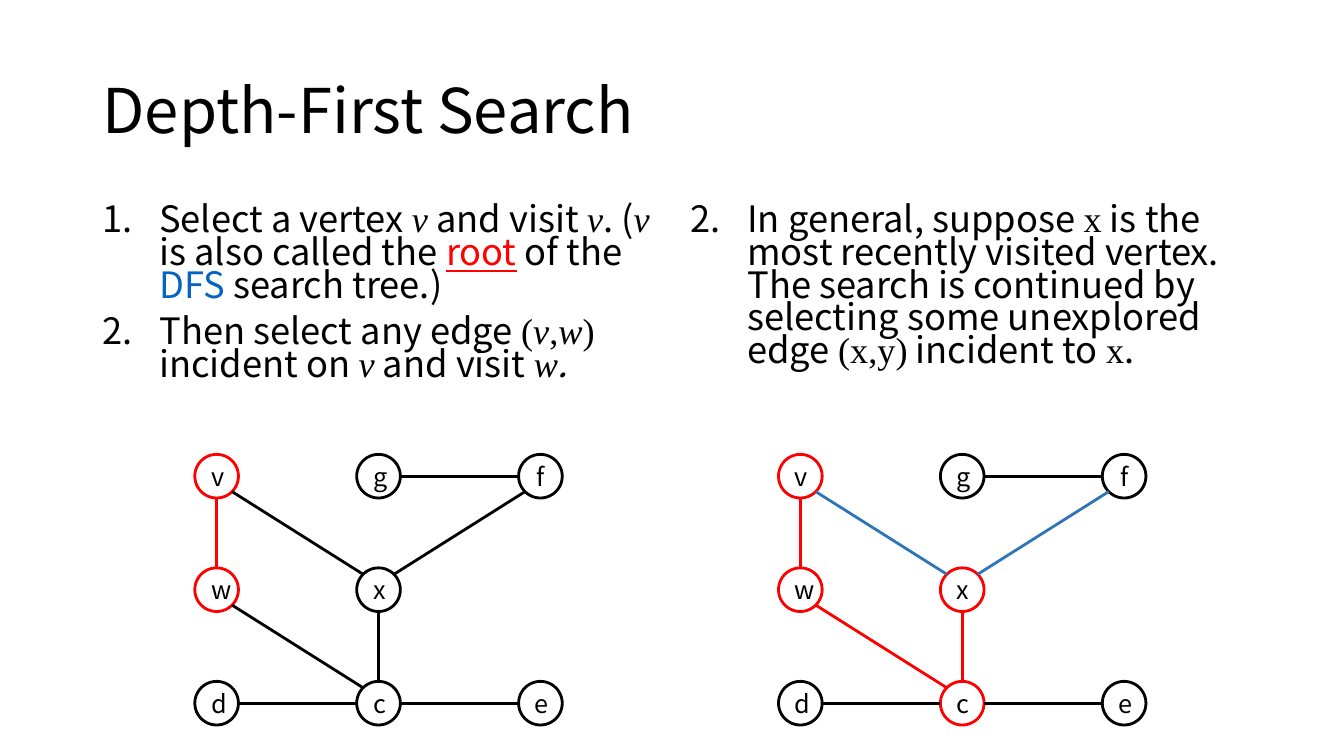
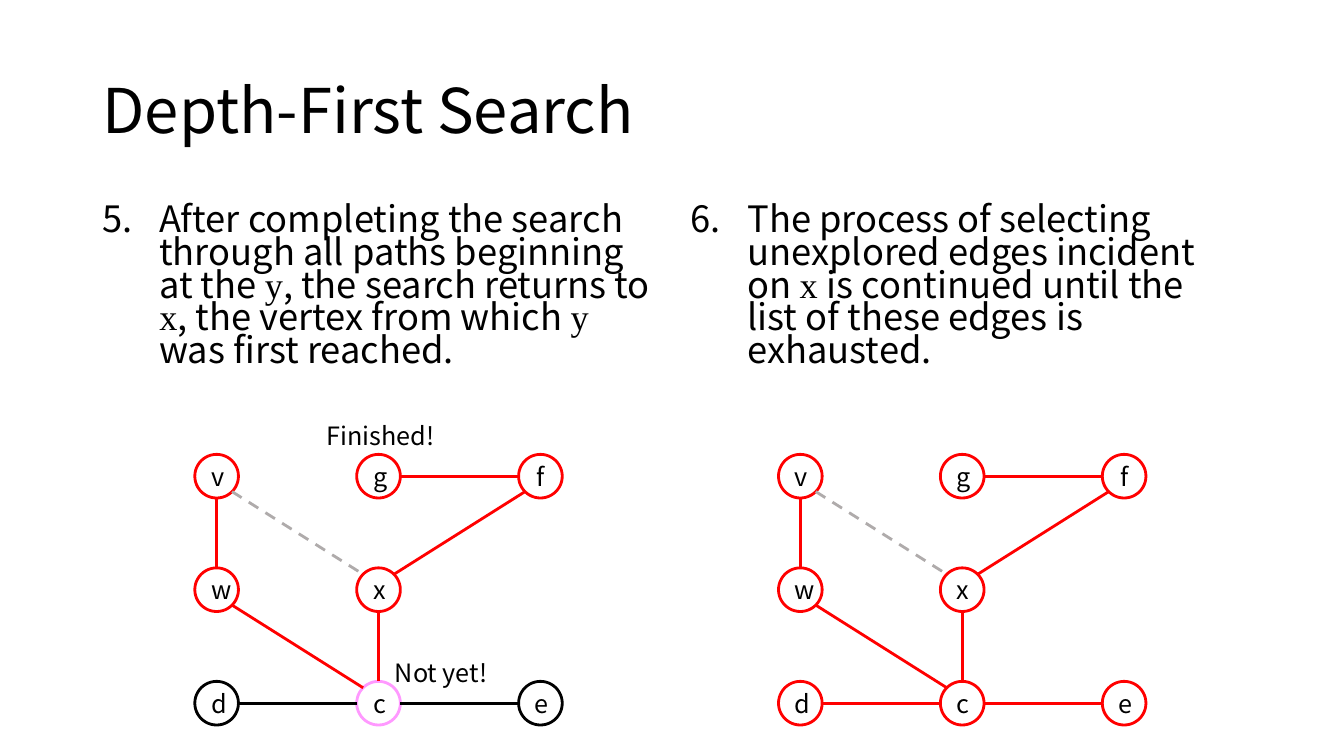
from lxml import etree
from pptx import Presentation
from pptx.dml.color import RGBColor
from pptx.enum import dml, shapes, text
from pptx.oxml import ns
from pptx.util import Cm, Pt

BLACK = RGBColor(0x00, 0x00, 0x00)
WHITE = RGBColor(0xFF, 0xFF, 0xFF)
RED = RGBColor(0xFF, 0x00, 0x00)
BLUE = RGBColor(0x2E, 0x75, 0xB6)
LINK = RGBColor(0x05, 0x63, 0xC1)
GREY = RGBColor(0xAF, 0xAB, 0xAB)
PINK = RGBColor(0xFF, 0x99, 0xFF)
SANS, SERIF = "Noto Sans CJK JP", "Times New Roman"

# Run styles
PLAIN = {"name": SANS, "size": Pt(25.9), "color": BLACK}
STYLES = {
    "plain": PLAIN,
    "math": {**PLAIN, "name": SERIF},
    "var": {**PLAIN, "name": SERIF, "italic": True},
    "slant": {**PLAIN, "italic": True},
    "key": {**PLAIN, "color": RED, "underline": True},
    "term": {**PLAIN, "color": LINK},
}
TITLE = {**PLAIN, "size": Pt(44)}
SMALL = {**PLAIN, "size": Pt(18)}

# Content: each column has a first number, paragraphs, coloured graph parts
# and labels; a plain string is a plain run, a pair is (text, style)
HEADING = "Depth-First Search"
SLIDES = [
    [
        {"start": 1, "items": [
            ["Select a vertex ", ("v", "var"), " and visit ", ("v", "var"),
             ". (", ("v", "var"), " is also called the ", ("root", "key"),
             " of the ", ("DFS", "term"), " search tree.)"],
            ["Then select any edge ", ("(", "math"), ("v", "var"),
             (",", "math"), ("w", "var"), (")", "math"), " incident on ",
             ("v", "var"), " and visit ", ("w", "var"), (".", "slant")],
        ], "graph": {RED: "v w vw"}},
        {"start": 2, "items": [
            ["In general, suppose ", ("x", "math"),
             " is the most recently visited vertex. The search is continued"
             " by selecting some unexplored edge ", ("(x,y)", "math"),
             " incident to ", ("x", "math"), "."],
        ], "graph": {RED: "v w x c vw wc xc", BLUE: "vx xf"}},
    ],
    [
        {"start": 5, "items": [
            ["After completing the search through all paths beginning at the ",
             ("y", "math"), ", the search returns to ", ("x", "math"),
             ", the vertex from which ", ("y", "math"),
             " was first reached."],
        ], "graph": {RED: "v g f w x gf xf xc wc vw", GREY: "vx", PINK: "c"},
            "labels": [("Finished!", 7.98, 10.46, 3.25),
                       ("Not yet!", 9.7, 16.43, 2.87)]},
        {"start": 6, "items": [
            ["The process of selecting unexplored edges incident on ",
             ("x ", "math"),
             "is continued until the list of these edges is exhausted."],
        ], "graph": {RED: "v g f w x d c e gf xf xc wc vw cd ec",
                     GREY: "vx"}},
    ],
]

# Graph: node -> (column, row), and edges as node pairs
NODES = {"v": (0, 0), "g": (1, 0), "f": (2, 0), "w": (0, 1), "x": (1, 1),
         "d": (0, 2), "c": (1, 2), "e": (2, 2)}
EDGES = "vx gf xf xc wc vw cd ec".split()

# Layout in centimetres
PLACES = [(2.33, 1.01, 29.21, 3.68), (2.33, 5.08, 14.4, 5.76),
          (17.15, 5.08, 14.4, 5.76)]
GRAPH_X, GRAPH_Y, GRAPH_SHIFT = 5.46, 12, 14.71
STEP_X, STEP_Y, RADIUS = 4.08, 2.86, 0.55
INDENT = Cm(1.43)


def add_run(p, words, style):
    r = p.add_run()
    r.text = words
    for name, value in style.items():
        if name == "color":
            r.font.color.rgb = value
        else:
            setattr(r.font, name, value)


def number(p, start):
    pPr = p._p.get_or_add_pPr()
    pPr.set("marL", str(INDENT))
    pPr.set("indent", str(-INDENT))
    etree.SubElement(pPr, ns.qn("a:buFont"), typeface=SANS)
    etree.SubElement(pPr, ns.qn("a:buAutoNum"), type="arabicPeriod",
                     startAt=str(start))


def fill_title(sp):
    sp.text_frame.vertical_anchor = text.MSO_ANCHOR.MIDDLE
    p = sp.text_frame.paragraphs[0]
    p.alignment, p.line_spacing = text.PP_ALIGN.LEFT, 0.9
    add_run(p, HEADING, TITLE)


def fill_list(sp, column):
    tf = sp.text_frame
    tf.auto_size = text.MSO_AUTO_SIZE.NONE
    for i, item in enumerate(column["items"]):
        p = tf.add_paragraph() if i else tf.paragraphs[0]
        number(p, column["start"])
        p.line_spacing, p.space_before = 0.75, Pt(10 if i else 0)
        for run in item:
            words, style = (run, "plain") if isinstance(run, str) else run
            add_run(p, words, STYLES[style])


def add_graph(s, column, left):
    group = s.shapes.add_group_shape().shapes
    pens = {part: color for color, parts in column["graph"].items()
            for part in parts.split()}
    centres = {n: (left + c * STEP_X, GRAPH_Y + r * STEP_Y)
               for n, (c, r) in NODES.items()}

    # Nodes
    for name, (x, y) in centres.items():
        sp = group.add_shape(shapes.MSO_SHAPE.OVAL, Cm(x - RADIUS),
                             Cm(y - RADIUS), Cm(2 * RADIUS), Cm(2 * RADIUS))
        sp.shadow.inherit = False
        sp.fill.solid()
        sp.fill.fore_color.rgb = WHITE
        sp.line.color.rgb, sp.line.width = pens.get(name, BLACK), Pt(2)
        sp.text_frame.vertical_anchor = text.MSO_ANCHOR.MIDDLE
        p = sp.text_frame.paragraphs[0]
        p.alignment = text.PP_ALIGN.CENTER
        add_run(p, name, SMALL)

    # Edges run between points on the circles, in steps of 45 degrees
    for edge in EDGES:
        (c1, r1), (c2, r2) = NODES[edge[0]], NODES[edge[1]]
        (x1, y1), (x2, y2) = centres[edge[0]], centres[edge[1]]
        dx, dy = c2 - c1, r2 - r1
        reach = RADIUS / (dx * dx + dy * dy) ** 0.5
        line = group.add_connector(
            shapes.MSO_CONNECTOR.STRAIGHT,
            Cm(x1 + dx * reach), Cm(y1 + dy * reach),
            Cm(x2 - dx * reach), Cm(y2 - dy * reach))
        color = pens.get(edge, BLACK)
        line.line.color.rgb, line.line.width = color, Pt(2)
        if color == GREY:
            line.line.dash_style = dml.MSO_LINE.DASH
        etree.SubElement(line._element.spPr, ns.qn("a:effectLst"))


def add_label(s, words, x, y, width):
    tf = s.shapes.add_textbox(Cm(x), Cm(y), Cm(width), Cm(1.02)).text_frame
    tf.word_wrap = False
    tf.auto_size = text.MSO_AUTO_SIZE.SHAPE_TO_FIT_TEXT
    add_run(tf.paragraphs[0], words, SMALL)


def main():
    prs = Presentation()
    prs.slide_width, prs.slide_height = Cm(33.87), Cm(19.05)

    # Shared places of the title and the two lists
    layout = prs.slide_layouts.get_by_name("Two Content")
    for sp, place in zip(layout.placeholders, PLACES):
        sp.left, sp.top, sp.width, sp.height = map(Cm, place)

    for columns in SLIDES:
        s = prs.slides.add_slide(layout)
        title, *bodies = s.placeholders
        fill_title(title)
        for i, (sp, column) in enumerate(zip(bodies, columns)):
            fill_list(sp, column)
            add_graph(s, column, GRAPH_X + i * GRAPH_SHIFT)
            for label in column.get("labels", []):
                add_label(s, *label)

    prs.save("out.pptx")


if __name__ == "__main__":
    main()
